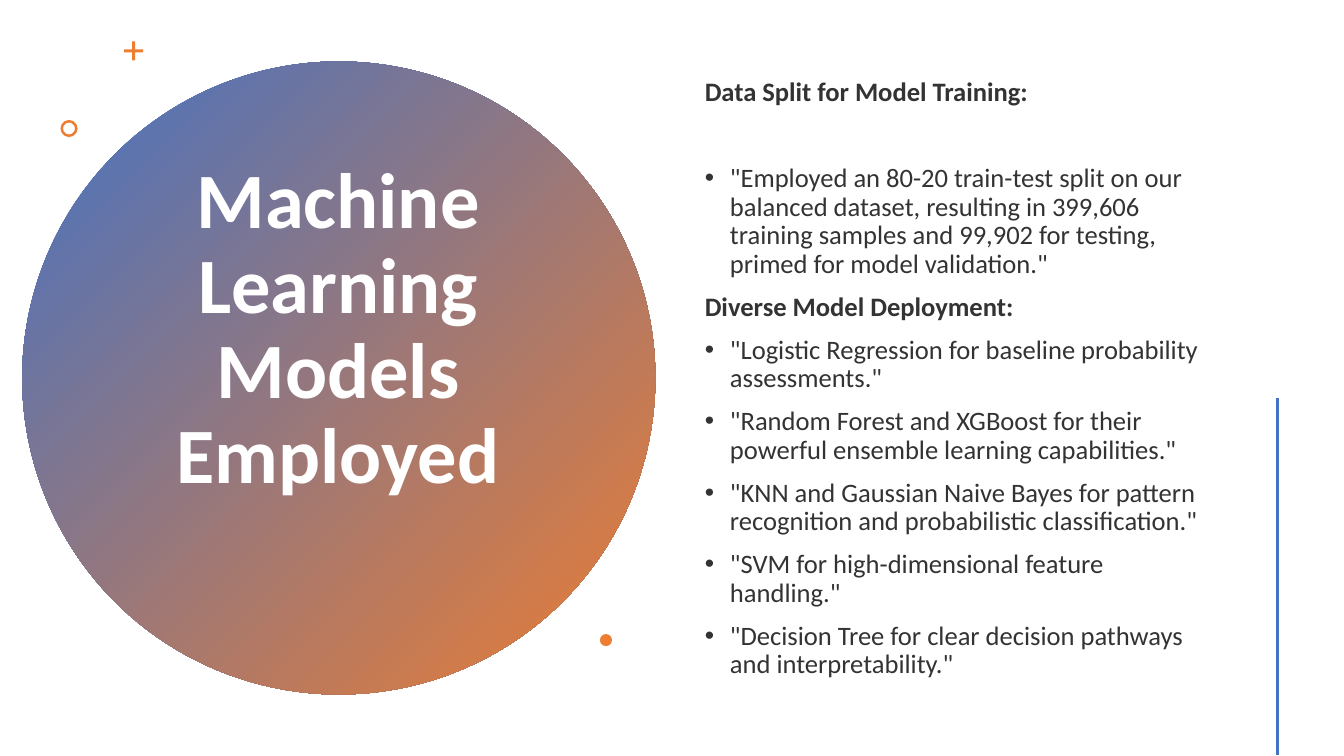
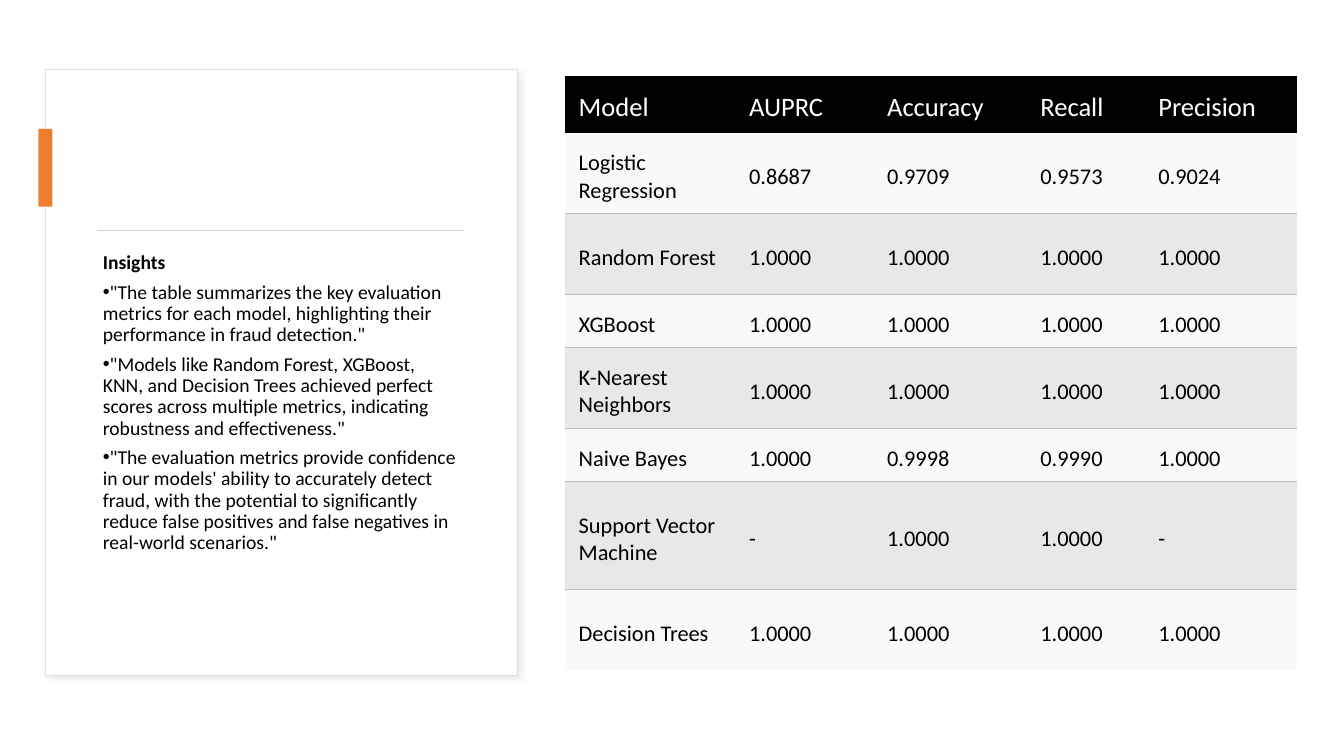
import pptx
import pptx.dml.color
import pptx.enum.shapes
import pptx.enum.text
import pptx.oxml
import pptx.oxml.ns
import pptx.util
import lxml.etree

PX = 9144
FONT = "Calibri"
COLORS = {
    "blue": "4472C4",
    "orange": "ED7D31",
    "white": "FFFFFF",
    "black": "000000",
    "charcoal": "333333",
    "card_edge": "DEDEDE",
    "shadow": "D9D9D9",
    "divider": "D5D5D5",
    "row_line": "BFBFBF",
    "row_light": "F9F9F9",
    "row_dark": "E8E8E8",
}
RGB = {name: pptx.dml.color.RGBColor.from_string(value) for name, value in COLORS.items()}
SHAPES = pptx.enum.shapes.MSO_SHAPE
ANCHOR = pptx.enum.text.MSO_ANCHOR
qn = pptx.oxml.ns.qn
NAMESPACE = pptx.oxml.ns.nsdecls("a")


def write(paragraph, text, size, color, bold=False, align=None, line=1.0,
          before=0, after=0, bullet=False, margin=0, indent=0):
    run = paragraph.add_run()
    run.text = text
    run.font.name = FONT
    run.font.size = pptx.util.Pt(size)
    run.font.bold = bold
    run.font.color.rgb = RGB[color]
    paragraph.alignment = align
    paragraph.line_spacing = line
    paragraph.space_before = pptx.util.Pt(before)
    paragraph.space_after = pptx.util.Pt(after)
    properties = paragraph._p.get_or_add_pPr()
    properties.set("marL", str(margin * PX))
    properties.set("indent", str(indent * PX))
    if bullet:
        lxml.etree.SubElement(properties, qn("a:buFont")).set("typeface", "Arial")
        lxml.etree.SubElement(properties, qn("a:buChar")).set("char", "•")
    else:
        lxml.etree.SubElement(properties, qn("a:buNone"))


def draw(slide, kind, left, top, width, height, color, adjustment=None):
    shape = slide.shapes.add_shape(kind, left * PX, top * PX, width * PX, height * PX)
    shape.shadow.inherit = False
    shape.fill.solid()
    shape.fill.fore_color.rgb = RGB[color]
    shape.line.fill.background()
    if adjustment is not None:
        shape.adjustments[0] = adjustment
    return shape


deck = pptx.Presentation()
deck.slide_width = 1333 * PX
deck.slide_height = 750 * PX
content_layout = deck.slide_layouts[1]
models_slide = deck.slides.add_slide(content_layout)
results_slide = deck.slides.add_slide(content_layout)

circle = draw(models_slide, SHAPES.OVAL, 22, 61, 628, 628, "blue")
circle.fill.gradient()
circle.fill.gradient_angle = 315
for stop, color in zip(circle.fill.gradient_stops, ("blue", "orange")):
    stop.color.rgb = RGB[color]
draw(models_slide, SHAPES.CROSS, 123, 41, 19, 19, "orange", 0.42)
draw(models_slide, SHAPES.DONUT, 60, 119, 17, 17, "orange", 0.15)
draw(models_slide, SHAPES.OVAL, 595, 629, 12, 12, "orange")

card = draw(results_slide, SHAPES.RECTANGLE, 45, 69, 468, 601, "white")
card.line.color.rgb = RGB["card_edge"]
card.line.width = pptx.util.Pt(0.75)
card_effects = card._element.spPr.find(qn("a:effectLst"))
card_effects.append(pptx.oxml.parse_xml(
    f'<a:outerShdw {NAMESPACE} blurRad="50800" dist="38100" dir="2700000">'
    f'<a:srgbClr val="{COLORS["shadow"]}"><a:alpha val="50000"/></a:srgbClr></a:outerShdw>'))
draw(results_slide, SHAPES.RECTANGLE, 38, 128, 14, 77, "orange")

title = models_slide.shapes.title
model_list = models_slide.placeholders[1]
insights = results_slide.placeholders[1]
unused_title = results_slide.shapes.title._element
unused_title.getparent().remove(unused_title)

for slide, holder, box, anchor in (
    (models_slide, title, (136, 141, 399, 374), ANCHOR.MIDDLE),
    (models_slide, model_list, (689, 57, 522, 638), ANCHOR.MIDDLE),
    (results_slide, insights, (92, 246, 373, 389), ANCHOR.TOP),
):
    holder.left, holder.top, holder.width, holder.height = (length * PX for length in box)
    holder.text_frame.word_wrap = True
    holder.text_frame.auto_size = pptx.enum.text.MSO_AUTO_SIZE.NONE
    holder.text_frame.vertical_anchor = anchor
    slide.shapes._spTree.append(holder._element)

write(title.text_frame.paragraphs[0], "Machine Learning Models Employed", size=56, color="white",
      bold=True, align=pptx.enum.text.PP_ALIGN.CENTER, line=0.9)

model_sections = (
    ("Data Split for Model Training:", 41, (
        '"Employed an 80-20 train-test split on our balanced dataset, resulting in 399,606 '
        'training samples and 99,902 for testing, primed for model validation."',
    )),
    ("Diverse Model Deployment:", 10, (
        '"Logistic Regression for baseline probability assessments."',
        '"Random Forest and XGBoost for their powerful ensemble learning capabilities."',
        '"KNN and Gaussian Naive Bayes for pattern recognition and probabilistic classification."',
        '"SVM for high-dimensional feature handling."',
        '"Decision Tree for clear decision pathways and interpretability."',
    )),
)
paragraph = model_list.text_frame.paragraphs[0]
for heading, gap, points in model_sections:
    if paragraph is None:
        paragraph = model_list.text_frame.add_paragraph()
    write(paragraph, heading, size=19, color="charcoal", bold=True, line=0.9, before=10)
    paragraph = None
    for point in points:
        write(model_list.text_frame.add_paragraph(), point, size=19, color="charcoal",
              line=0.9, before=gap, bullet=True, margin=25, indent=-25)

write(insights.text_frame.paragraphs[0], "Insights", size=14, color="black", bold=True,
      line=0.9, after=6)
for insight in (
    '"The table summarizes the key evaluation metrics for each model, highlighting their '
    'performance in fraud detection."',
    '"Models like Random Forest, XGBoost, KNN, and Decision Trees achieved perfect scores '
    'across multiple metrics, indicating robustness and effectiveness."',
    '"The evaluation metrics provide confidence in our models\' ability to accurately detect '
    'fraud, with the potential to significantly reduce false positives and false negatives in '
    'real-world scenarios."',
):
    write(insights.text_frame.add_paragraph(), insight, size=14, color="black",
          line=0.9, after=6, bullet=True, indent=-25)

scores = (
    ("Model", "AUPRC", "Accuracy", "Recall", "Precision"),
    ("Logistic Regression", "0.8687", "0.9709", "0.9573", "0.9024"),
    ("Random Forest", "1.0000", "1.0000", "1.0000", "1.0000"),
    ("XGBoost", "1.0000", "1.0000", "1.0000", "1.0000"),
    ("K-Nearest Neighbors", "1.0000", "1.0000", "1.0000", "1.0000"),
    ("Naive Bayes", "1.0000", "0.9998", "0.9990", "1.0000"),
    ("Support Vector Machine", "-", "1.0000", "1.0000", "-"),
    ("Decision Trees", "1.0000", "1.0000", "1.0000", "1.0000"),
)
column_widths = (169, 137, 152, 117, 152)
row_heights = (57, 80, 80, 53, 80, 53, 107, 80)
score_table = results_slide.shapes.add_table(
    len(scores), len(column_widths), 560 * PX, 75 * PX,
    sum(column_widths) * PX, sum(row_heights) * PX).table
score_table.first_row = True
score_table.horz_banding = False
score_table._tbl.tblPr.find(qn("a:tableStyleId")).text = "{2D5ABB26-0587-4C30-8999-92F81FD0307C}"
for column, width in zip(score_table.columns, column_widths):
    column.width = width * PX
for row_number, (row, height, values) in enumerate(zip(score_table.rows, row_heights, scores)):
    row.height = height * PX
    header = row_number == 0
    shaded = row_number % 2 == 0
    for cell, value in zip(row.cells, values):
        cell.margin_left = cell.margin_right = cell.margin_top = 14 * PX
        cell.margin_bottom = 7 * PX
        cell.vertical_anchor = ANCHOR.MIDDLE
        cell.fill.solid()
        cell.fill.fore_color.rgb = RGB["black" if header else "row_dark" if shaded else "row_light"]
        write(cell.text_frame.paragraphs[0], value, size=19 if header else 16,
              color="white" if header else "black")
        if 0 < row_number < len(scores) - 1:
            side = "lnT" if shaded else "lnB"
            cell._tc.get_or_add_tcPr().insert(0, pptx.oxml.parse_xml(
                f'<a:{side} {NAMESPACE} w="12700"><a:solidFill>'
                f'<a:srgbClr val="{COLORS["row_line"]}"/></a:solidFill></a:{side}>'))

for slide, start_x, start_y, end_x, end_y, color, weight in (
    (models_slide, 1267, 395, 1267, 749, "blue", 2),
    (results_slide, 96, 229, 460, 229, "divider", 0.75),
):
    rule = slide.shapes.add_connector(pptx.enum.shapes.MSO_CONNECTOR.STRAIGHT,
                                      start_x * PX, start_y * PX, end_x * PX, end_y * PX)
    rule.line.color.rgb = RGB[color]
    rule.line.width = pptx.util.Pt(weight)
    lxml.etree.SubElement(rule._element.spPr, qn("a:effectLst"))

deck.save("out.pptx")
